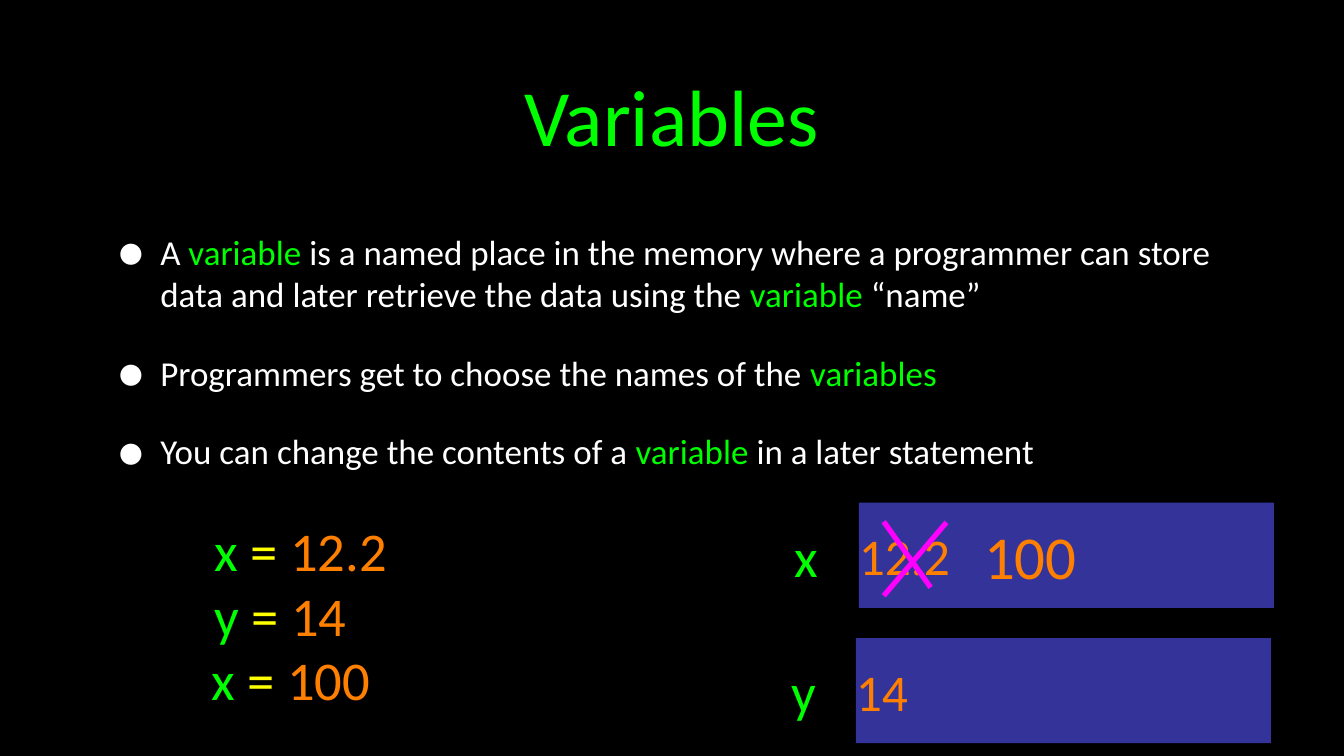
from typing import NamedTuple

from lxml.etree import SubElement
from pptx import Presentation
from pptx.dml.color import RGBColor
from pptx.enum.shapes import MSO_CONNECTOR, MSO_SHAPE
from pptx.enum.text import MSO_ANCHOR, PP_ALIGN
from pptx.oxml.ns import qn
from pptx.util import Pt

FONT = "Calibri"
BLACK = RGBColor(0x00, 0x00, 0x00)
WHITE = RGBColor(0xFF, 0xFF, 0xFF)
GREEN = RGBColor(0x00, 0xFF, 0x00)
YELLOW = RGBColor(0xFF, 0xFF, 0x00)
ORANGE = RGBColor(0xFF, 0x7F, 0x00)
MAGENTA = RGBColor(0xFF, 0x00, 0xFF)
INDIGO = RGBColor(0x33, 0x33, 0x99)


class Run(NamedTuple):
    text: str
    color: RGBColor


class Box(NamedTuple):
    left: float
    top: float
    width: float
    height: float


class Label(NamedTuple):
    box: Box
    size: float
    paragraphs: list[list[Run]]
    align: PP_ALIGN = PP_ALIGN.LEFT
    inset: float = 0


class Stroke(NamedTuple):
    x1: float
    y1: float
    x2: float
    y2: float


def assignment(name: str, value: str) -> list[Run]:
    return [Run(name, GREEN), Run(" = ", YELLOW), Run(value, ORANGE)]


TITLE = Label(Box(90.72, 18.72, 1097.28, 180.72), 76,
              [[Run("Variables", GREEN)]], PP_ALIGN.CENTER, 3)

BULLETS = Label(Box(90.72, 203.04, 1097.28, 262.8), 33.3, [
    [
        Run("A ", WHITE),
        Run("variable", GREEN),
        Run(" is a named place in the memory where a programmer can store "
            "data and later retrieve the data using the ", WHITE),
        Run("variable", GREEN),
        Run(" “name”", WHITE),
    ],
    [
        Run("Programmers get to choose the names of the ", WHITE),
        Run("variables", GREEN),
    ],
    [
        Run("You can change the contents of a ", WHITE),
        Run("variable ", GREEN),
        Run("in a later statement", WHITE),
    ],
], inset=3)

MEMORY_CELLS = [
    Label(Box(817.92, 478.8, 395.28, 100.08), 49, [[Run("12.2", ORANGE)]]),
    Label(Box(815.04, 607.68, 395.28, 100.08), 49, [[Run("14", ORANGE)]]),
]

LABELS = [
    Label(Box(754.56, 497.52, 27.36, 62.64), 52, [[Run("x", GREEN)]], PP_ALIGN.CENTER),
    Label(Box(752.4, 626.4, 26.64, 62.64), 52, [[Run("y", GREEN)]], PP_ALIGN.CENTER),
    Label(Box(204.48, 491.76, 187.2, 125.28), 52,
          [assignment("x", "12.2"), assignment("y", "14")]),
    Label(Box(201.6, 614.88, 173.52, 62.64), 52, [assignment("x", "100")]),
]

NEW_VALUE = Label(Box(931.68, 493.92, 99.36, 69.84), 58,
                  [[Run("100", ORANGE)]], PP_ALIGN.CENTER)

CROSS = [
    Stroke(901.44, 497.52, 841.68, 567.36),
    Stroke(841.68, 496.8, 886.32, 559.44),
]


def fill_text(tf, label: Label) -> None:
    tf.word_wrap = True
    tf.vertical_anchor = MSO_ANCHOR.MIDDLE
    tf.margin_left = tf.margin_right = Pt(label.inset)
    tf.margin_top = tf.margin_bottom = Pt(label.inset)
    for i, runs in enumerate(label.paragraphs):
        p = tf.add_paragraph() if i else tf.paragraphs[0]
        p.alignment = label.align
        for run in runs:
            r = p.add_run()
            r.text = run.text
            r.font.name = FONT
            r.font.size = Pt(label.size)
            r.font.color.rgb = run.color


def add_label(s, label: Label):
    sp = s.shapes.add_textbox(*map(Pt, label.box))
    fill_text(sp.text_frame, label)
    return sp


def add_memory_cell(s, label: Label) -> None:
    sp = s.shapes.add_shape(MSO_SHAPE.RECTANGLE, *map(Pt, label.box))
    sp.shadow.inherit = False
    sp.fill.solid()
    sp.fill.fore_color.rgb = INDIGO
    sp.line.fill.background()
    fill_text(sp.text_frame, label)


def add_bullet(p) -> None:
    """Give the paragraph a large white bullet with a hanging indent."""
    p.space_before = Pt(35)
    pPr = p._p.get_or_add_pPr()
    pPr.set("marL", str(Pt(59)))
    pPr.set("indent", str(-Pt(41.8)))
    color = SubElement(pPr, qn("a:buClr"))
    SubElement(color, qn("a:srgbClr"), val=str(WHITE))
    SubElement(pPr, qn("a:buSzPct"), val="171000")
    SubElement(pPr, qn("a:buFont"), typeface=FONT)
    SubElement(pPr, qn("a:buChar"), char="•")


def add_stroke(s, stroke: Stroke) -> None:
    line = s.shapes.add_connector(MSO_CONNECTOR.STRAIGHT, *map(Pt, stroke))
    line.line.color.rgb = MAGENTA
    line.line.width = Pt(5)
    SubElement(line._element.spPr, qn("a:effectLst"))


def main() -> None:
    prs = Presentation()
    prs.slide_width, prs.slide_height = Pt(1280), Pt(720)
    s = prs.slides.add_slide(prs.slide_layouts[6])
    s.background.fill.solid()
    s.background.fill.fore_color.rgb = BLACK

    add_label(s, TITLE)
    for p in add_label(s, BULLETS).text_frame.paragraphs:
        add_bullet(p)
    for cell in MEMORY_CELLS:
        add_memory_cell(s, cell)
    for label in LABELS:
        add_label(s, label)
    for stroke in CROSS:
        add_stroke(s, stroke)
    add_label(s, NEW_VALUE)

    prs.save("out.pptx")


if __name__ == "__main__":
    main()
